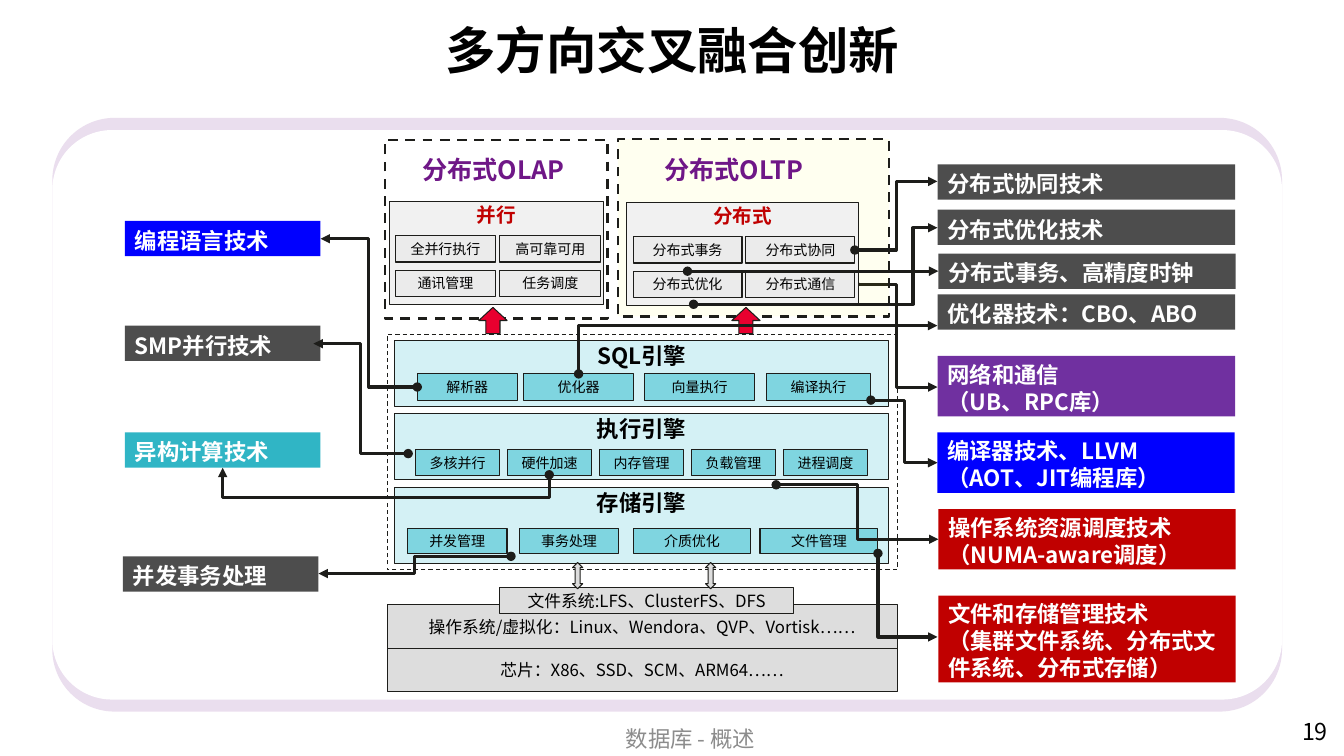
from lxml.etree import SubElement
from pptx import Presentation
from pptx.dml.color import RGBColor
from pptx.enum.dml import MSO_LINE
from pptx.enum.shapes import MSO_CONNECTOR, MSO_SHAPE
from pptx.enum.text import MSO_ANCHOR, PP_ALIGN
from pptx.oxml.ns import qn
from pptx.util import Pt

INK, BLACK, WHITE = "1D1D1A", "000000", "FFFFFF"
PURPLE, RED, BLUE, GREY = "6F1787", "C00000", "0000FF", "4D4D4D"
TEAL, PALE_TEAL, SILVER, MIST = "7FD5E0", "D4F1F5", "DDDDDD", "EBEBEB"


def rgb(value):
    return RGBColor.from_string(value)


class Deck:
    font = "Noto Sans CJK SC"

    def __init__(self):
        self.prs = Presentation()
        self.prs.slide_width, self.prs.slide_height = Pt(960), Pt(540)
        self.s = self.prs.slides.add_slide(self.prs.slide_layouts[6])

    def set_text(self, sp, text, size, color=BLACK, bold=False, align=PP_ALIGN.CENTER,
                 anchor=MSO_ANCHOR.MIDDLE, leading=None, side=7.2, top=3.6):
        tf = sp.text_frame
        tf.word_wrap = True
        tf.vertical_anchor = anchor
        tf.margin_left = tf.margin_right = Pt(side)
        tf.margin_top, tf.margin_bottom = Pt(top), Pt(3.6)
        tf.text = text
        for p in tf.paragraphs:
            p.alignment = align
            if leading:
                p.line_spacing = Pt(leading)
            for r in p.runs:
                r.font.size, r.font.bold, r.font.name = Pt(size), bold, self.font
                r.font.color.rgb = rgb(color)
                SubElement(r._r.get_or_add_rPr(), qn("a:ea"), typeface=self.font)

    def label(self, box, text, size, **style):
        sp = self.s.shapes.add_textbox(*map(Pt, box))
        self.set_text(sp, text, size, **style)

    def shape(self, box, fill=None, line=None, kind=MSO_SHAPE.RECTANGLE,
              width=0.75, dash=False, alpha=None):
        sp = self.s.shapes.add_shape(kind, *map(Pt, box))
        sp.shadow.inherit = False
        if fill:
            sp.fill.solid()
            sp.fill.fore_color.rgb = rgb(fill)
        else:
            sp.fill.background()
        if alpha:
            clr = sp._element.spPr.find(qn("a:solidFill")).find(qn("a:srgbClr"))
            SubElement(clr, qn("a:alpha"), val=str(alpha * 1000))
        if line:
            sp.line.color.rgb, sp.line.width = rgb(line), Pt(width)
            if dash:
                sp.line.dash_style = MSO_LINE.DASH
        else:
            sp.line.fill.background()
        return sp

    def panel(self, box, fill, alpha=None):
        sp = self.shape(box, fill, kind=MSO_SHAPE.ROUNDED_RECTANGLE, alpha=alpha)
        sp.adjustments[0] = 0.105

    def cell(self, box, fill, text, size=10):
        sp = self.shape(box, fill, INK)
        self.set_text(sp, text, size, side=3.6)
        return sp

    def head(self, box, fill, text, size, color=BLACK):
        sp = self.shape(box, fill, INK)
        self.set_text(sp, text, size, color, True, anchor=MSO_ANCHOR.TOP, top=1.2)

    def card(self, box, fill, text):
        sp = self.shape(box, fill)
        self.set_text(sp, text, 16, WHITE, True, PP_ALIGN.LEFT, leading=19.3, top=6)
        return sp

    def arrow(self, x1, y1, x2, y2, kind=MSO_CONNECTOR.ELBOW):
        cxn = self.s.shapes.add_connector(kind, Pt(x1), Pt(y1), Pt(x2), Pt(y2))
        cxn.line.color.rgb, cxn.line.width = rgb(INK), Pt(2.25)
        spPr = cxn._element.spPr
        ln = spPr.find(qn("a:ln"))
        SubElement(ln, qn("a:headEnd"), type="oval")
        SubElement(ln, qn("a:tailEnd"), type="triangle")
        SubElement(spPr, qn("a:effectLst"))
        return cxn

    def elbow(self, x1, y1, x2, y2, bend=0.5, vertical=False):
        """Bent arrow; vertical makes it leave up or down, bend=None gives one corner."""
        if vertical:
            cx, cy, dx, dy = (x1 + x2) / 2, (y1 + y2) / 2, (x2 - x1) / 2, (y2 - y1) / 2
            x1, y1, x2, y2 = cx - dy, cy + dx, cx + dy, cy - dx
        spPr = self.arrow(x1, y1, x2, y2)._element.spPr
        geom = spPr.find(qn("a:prstGeom"))
        if vertical:
            spPr.find(qn("a:xfrm")).set("rot", "5400000")
        if bend is None:
            geom.set("prst", "bentConnector2")
        else:
            SubElement(geom.find(qn("a:avLst")), qn("a:gd"), name="adj1",
                       fmla=f"val {round(bend * 100000)}")


def main():
    d = Deck()
    d.panel((37.4, 84.2, 878.4, 424.1), PURPLE, alpha=14)
    d.panel((37.4, 92.9, 878.4, 406.8), WHITE)
    d.label((82.8, 8.6, 794.9, 53.3), "多方向交叉融合创新", 36, bold=True)
    d.label((344.2, 517, 298.1, 20.9), "数据库 - 概述", 16, color="8C8C8C")
    d.label((923, 511.2, 48.2, 37.4), "19", 16.6, align=PP_ALIGN.LEFT,
            anchor=MSO_ANCHOR.TOP, top=1.2)

    # Technology cards on both sides
    cards = {}
    for x, y, w, h, fill, text in (
        (89.3, 157.7, 139.7, 25.2, BLUE, "编程语言技术"),
        (89.3, 232.6, 139.7, 25.2, GREY, "SMP并行技术"),
        (89.3, 308.9, 139.7, 25.2, "30B5C5", "异构计算技术"),
        (87.8, 397.4, 139.7, 25.2, GREY, "并发事务处理"),
        (669.8, 117.4, 212.4, 25.2, GREY, "分布式协同技术"),
        (669.8, 149.8, 212.4, 25.2, GREY, "分布式优化技术"),
        (670.3, 181.1, 212.4, 25.2, GREY, "分布式事务、高精度时钟"),
        (669.8, 210.2, 212.4, 25.2, GREY, "优化器技术：CBO、ABO"),
        (669.8, 254.2, 212.4, 43.2, "7030A0", "网络和通信\n（UB、RPC库）"),
        (669.6, 308.9, 212.4, 43.2, BLUE, "编译器技术、LLVM\n（AOT、JIT编程库）"),
        (670.3, 363.6, 212.4, 43.2, RED, "操作系统资源调度技术\n（NUMA-aware调度）"),
        (670.3, 425.5, 212.4, 61.9, RED,
         "文件和存储管理技术\n（集群文件系统、分布式文件系统、分布式存储）"),
    ):
        cards[text] = d.card((x, y, w, h), fill, text)

    # This arrow runs behind the distributed block
    d.elbow(610.6, 203, 669.6, 276.5)

    # OLAP and OLTP blocks
    cells = {}
    for zone, tint, box, title, x, y, w, step, names in (
        ((275, 100.1, 159.1, 127.4), WHITE, (277.9, 144, 153.4, 73.4), "并行",
         282.2, 168.5, 72, 74.9, ("全并行执行", "高可靠可用", "通讯管理", "任务调度")),
        ((441.4, 99.4, 193.7, 126.7), "FFFF00", (447.8, 144.7, 165.6, 73.4), "分布式",
         452.2, 169.2, 77.8, 80.6, ("分布式事务", "分布式协同", "分布式优化", "分布式通信")),
    ):
        d.shape(zone, tint, INK, width=1.75, dash=True, alpha=6)
        d.head(box, "F1F1F1", title, 14, RED)
        for i, name in enumerate(names):
            row, col = divmod(i, 2)
            cells[name] = d.cell((x + col * step, y + row * 24.5, w, 18.7), MIST, name)
    for x, w, text, align in ((281.5, 141.8, "分布式OLAP", PP_ALIGN.CENTER),
                              (467.3, 135.4, "分布式OLTP", PP_ALIGN.LEFT)):
        d.label((x, 108.7, w, 28.8), text, 18, color=PURPLE, bold=True, align=align,
                anchor=MSO_ANCHOR.TOP, top=1.2)

    # Engine stack
    d.shape((276.5, 239, 364.3, 167.8), line=INK, dash=True)
    for y, h, title, row_y, row_h, row in (
        (243.4, 46.8, "SQL引擎", 267.1, 18.7,
         ((298.1, 71.3, "解析器"), (373.7, 79.2, "优化器"),
          (460.1, 79.2, "向量执行"), (547.2, 74.9, "编译执行"))),
        (295.2, 47.5, "执行引擎", 321.1, 18.7,
         [(296.6 + i * 65.7, 60.5, name) for i, name in enumerate(
             ("多核并行", "硬件加速", "内存管理", "负载管理", "进程调度"))]),
        (348.5, 54, "存储引擎", 377.3, 18,
         ((290.9, 71.3, "并发管理"), (370.8, 71.3, "事务处理"),
          (452.2, 84.2, "介质优化"), (542.9, 84.2, "文件管理"))),
    ):
        d.head((281.5, y, 353.5, h), PALE_TEAL, title, 16)
        for x, w, name in row:
            d.cell((x, row_y, w, row_h), TEAL, name)
    for x in (342, 522.7):
        d.shape((x, 219.6, 20.2, 18.7), "E9002F", INK, MSO_SHAPE.UP_ARROW)

    # Platform layers
    for box, text in (
        ((276.5, 463, 364.3, 31), "芯片：X86、SSD、SCM、ARM64……"),
        ((276.5, 432, 364.3, 31), "操作系统/虚拟化：Linux、Wendora、QVP、Vortisk……"),
        ((357.1, 419.8, 209.5, 18.7), "文件系统:LFS、ClusterFS、DFS"),
    ):
        d.cell(box, SILVER, text, 12)
    for x in (409, 504):
        d.shape((x, 401.8, 7.2, 18.7), SILVER, INK, MSO_SHAPE.UP_DOWN_ARROW)

    # Arrows from components to technologies
    clock = d.arrow(491.1, 193.7, 670.3, 193.7, MSO_CONNECTOR.STRAIGHT)
    clock.begin_connect(cells["分布式优化"], 0)
    clock.end_connect(cards["分布式事务、高精度时钟"], 1)
    for ends in ((365, 397.4, 227.5, 409.7), (622.1, 285.8, 669.6, 330.5),
                 (298.1, 276.5, 229, 170.6), (291.6, 324, 223.9, 245.5),
                 (610.6, 178.6, 669.6, 129.6), (554.4, 346.3, 670.3, 385.2)):
        d.elbow(*ends)
    d.elbow(495.4, 217.4, 669.6, 162.7, bend=0.9)
    d.elbow(413.3, 267.1, 669.6, 232.6, bend=None, vertical=True)
    d.elbow(627.1, 395.3, 669.6, 455, bend=None, vertical=True)
    d.elbow(392.4, 339.1, 159.1, 334.1, bend=-3.27, vertical=True)

    d.prs.save("out.pptx")


if __name__ == "__main__":
    main()
